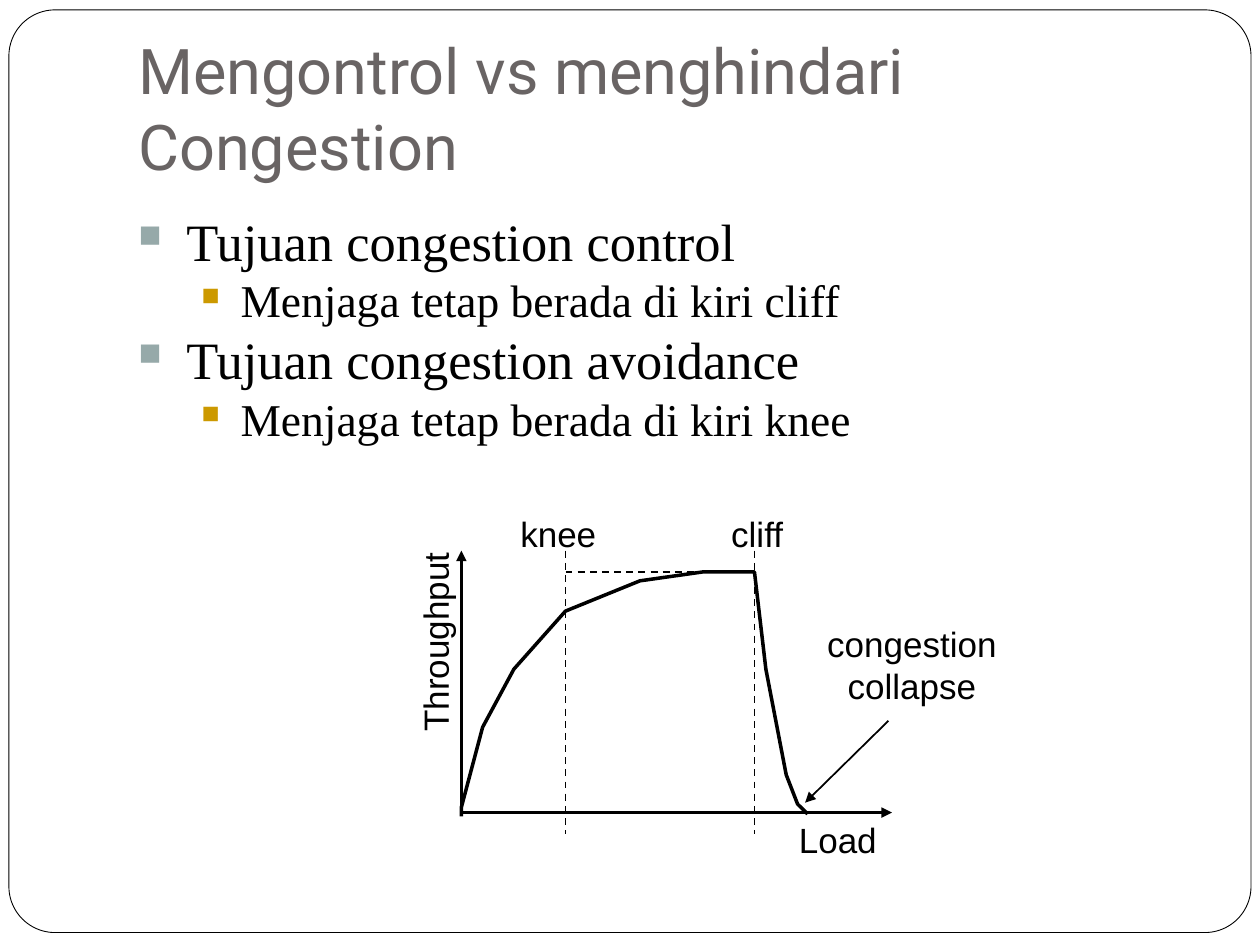
from lxml import etree
from pptx import Presentation, util as u
from pptx.dml.color import RGBColor
from pptx.enum import dml, shapes, text
from pptx.oxml.ns import qn

COLORS = {"title": "696464", "ink": "000000", "paper": "FFFFFF",
          "bullet": "96A9A9", "sub_bullet": "CC9900"}

presentation = Presentation()
presentation.slide_width, presentation.slide_height = u.Cm(25.4), u.Cm(19.05)
slide = presentation.slides.add_slide(presentation.slide_layouts[6])


def add_text(content, left, top, width, height, font, size, color="ink"):
    box = slide.shapes.add_textbox(*map(u.Cm, (left, top, width, height)))
    box.text_frame.text = content
    for paragraph in box.text_frame.paragraphs:
        for run in paragraph.runs:
            run.font.name, run.font.size = font, u.Pt(size)
            run.font.color.rgb = RGBColor.from_string(COLORS[color])
    return box


def add_line(start, end, width, arrow=False, dashed=False):
    line = slide.shapes.add_connector(
        shapes.MSO_CONNECTOR.STRAIGHT, *map(u.Cm, (*start, *end)))
    line.line.width = u.Pt(width)
    line.line.color.rgb = RGBColor.from_string(COLORS["ink"])
    if dashed:
        line.line.dash_style = dml.MSO_LINE.DASH
    if arrow:
        etree.SubElement(line.line._get_or_add_ln(), qn("a:tailEnd"), type="triangle")
    etree.SubElement(line._element.spPr, qn("a:effectLst"))


# Rounded page frame
frame = slide.shapes.add_shape(
    shapes.MSO_SHAPE.ROUNDED_RECTANGLE, *map(u.Cm, (0.18, 0.2, 25.04, 18.6)))
frame.adjustments[0] = 0.05
frame.shadow.inherit = False
frame.fill.solid()
frame.fill.fore_color.rgb = RGBColor.from_string(COLORS["paper"])
frame.line.color.rgb = RGBColor.from_string(COLORS["ink"])
frame.line.width = u.Pt(0.5)

# Title
title = add_text("Mengontrol vs menghindari Congestion",
                 2.54, 0.76, 21.59, 3.18, "Roboto", 36, "title")
title.text_frame.word_wrap = True
title.text_frame.vertical_anchor = text.MSO_ANCHOR.BOTTOM
title.text_frame.margin_bottom = u.Cm(0.25)

# Bulleted goals: size, space before, left margin, hanging indent, bullet
LEVELS = [(30, 7.5, 0.97, 0.97, "bullet", 60),
          (26, 6.5, 2.06, 0.79, "sub_bullet", 55)]
goals = [("Tujuan congestion control", 0),
         ("Menjaga tetap berada di kiri cliff", 1),
         ("Tujuan congestion avoidance", 0),
         ("Menjaga tetap berada di kiri knee", 1)]
body = add_text("\n".join(goal for goal, level in goals),
                2.54, 4.33, 21.59, 5.2, "Times New Roman", 30)
body.text_frame.word_wrap = True
for index, (paragraph, (goal, level)) in enumerate(zip(body.text_frame.paragraphs, goals)):
    size, space, margin, hanging, color, percent = LEVELS[level]
    paragraph.level = level
    paragraph.line_spacing = 0.8
    paragraph.space_before = u.Pt(space if index else 0)
    properties = paragraph._p.get_or_add_pPr()
    properties.set("marL", str(u.Cm(margin)))
    properties.set("indent", str(-u.Cm(hanging)))
    bullet_color = etree.SubElement(properties, qn("a:buClr"))
    etree.SubElement(bullet_color, qn("a:srgbClr"), val=COLORS[color])
    etree.SubElement(properties, qn("a:buSzPct"), val=str(percent * 1000))
    etree.SubElement(properties, qn("a:buChar"), char="■")
    paragraph.runs[0].font.size = u.Pt(size)

# Axes
origin = (9.3, 16.38)
knee_x, cliff_x, guide_top, peak_y = 11.4, 15.21, 11.1, 11.53
add_line(origin, (origin[0], guide_top), 2, arrow=True)
add_line(origin, (17.98, origin[1]), 2, arrow=True)

# Throughput curve
curve = [(9.3, 16.46), (9.3, 16.28), (9.73, 14.66), (10.36, 13.49),
         (knee_x, 12.32), (12.9, 11.71), (14.17, peak_y), (cliff_x, peak_y),
         (15.44, 13.49), (15.85, 15.62), (16.08, 16.21), (16.28, 16.41)]
points = [(u.Cm(x), u.Cm(y)) for x, y in curve]
builder = slide.shapes.build_freeform(*points[0])
builder.add_line_segments(points[1:], close=False)
throughput = builder.convert_to_shape()
throughput.shadow.inherit = False
throughput.fill.background()
throughput.line.color.rgb = RGBColor.from_string(COLORS["ink"])
throughput.line.width = u.Pt(2)

# Dashed guides
for x in (cliff_x, knee_x):
    add_line((x, guide_top), (x, 16.81), 1, dashed=True)
add_line((knee_x, peak_y), (cliff_x, peak_y), 1, dashed=True)

# Chart labels, without side margins so that each line fits its box
labels = [("Load", 15.85, 16.38, 2.08, 1.09, 0),
          ("Throughput", 6.71, 12.4, 4.11, 1.09, 270),
          ("knee", 10.24, 10.21, 2.03, 1.09, 0),
          ("cliff", 14.48, 10.21, 1.57, 1.09, 0),
          ("congestion\ncollapse", 16.43, 12.42, 3.91, 1.93, 0)]
for content, left, top, width, height, rotation in labels:
    label = add_text(content, left, top, width, height, "Arial", 20)
    label.rotation = rotation
    label.text_frame.word_wrap = False
    label.text_frame.margin_left = label.text_frame.margin_right = 0
    for paragraph in label.text_frame.paragraphs:
        paragraph.alignment = text.PP_ALIGN.CENTER

# Pointer to the collapse
add_line((17.91, 14.53), (16.23, 16.18), 1, arrow=True)

presentation.save("out.pptx")
